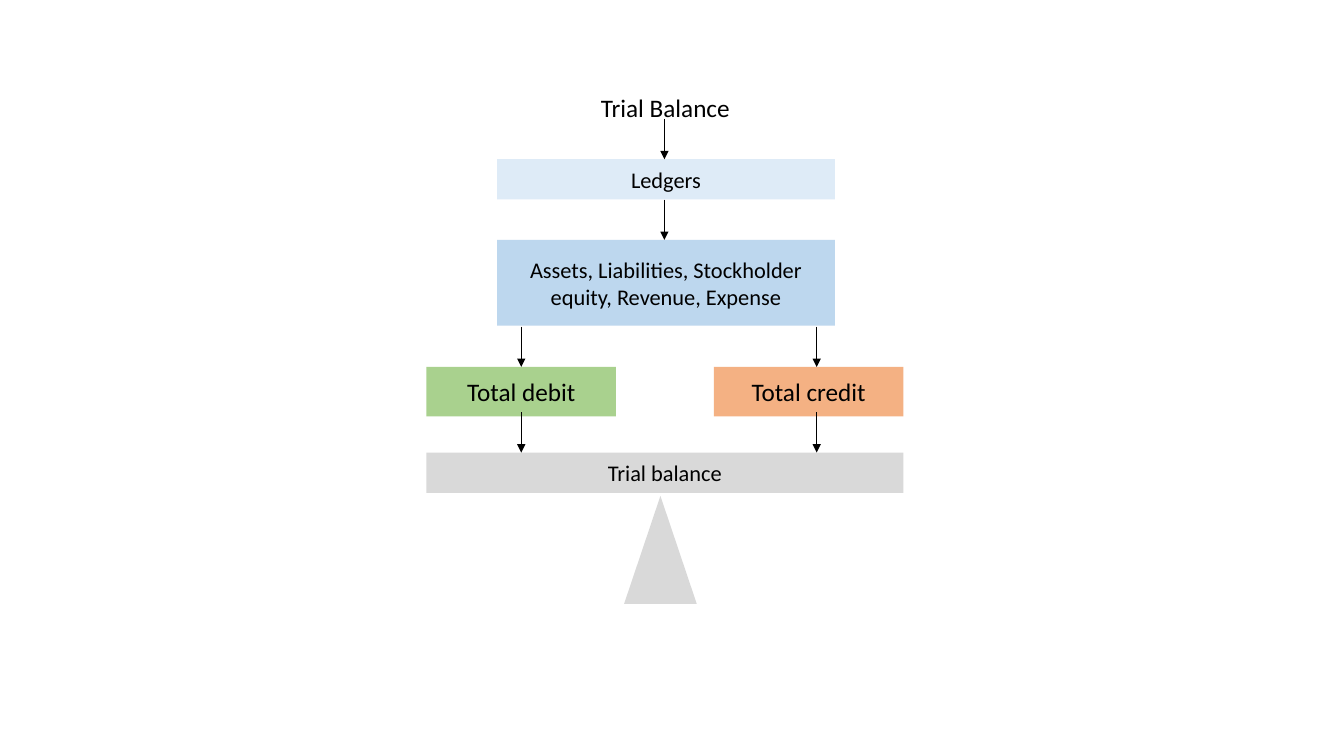
from lxml.etree import SubElement
from pptx import Presentation
from pptx.dml.color import RGBColor
from pptx.enum.shapes import MSO_CONNECTOR as Connector, MSO_SHAPE as Shape
from pptx.enum.text import MSO_ANCHOR as Anchor, MSO_AUTO_SIZE as AutoSize, PP_ALIGN as Align
from pptx.oxml.ns import qn
from pptx.util import Inches, Pt

BLACK = RGBColor(0x00, 0x00, 0x00)
PALE_BLUE = RGBColor(0xDE, 0xEB, 0xF7)
BLUE = RGBColor(0xBD, 0xD7, 0xEE)
GREEN = RGBColor(0xA9, 0xD1, 0x8E)
ORANGE = RGBColor(0xF4, 0xB1, 0x83)
GREY = RGBColor(0xD9, 0xD9, 0xD9)


class FlowSlide:
    """Draws the parts of a flow chart on one slide in a shared style."""

    font_name = "Calibri"
    arrow_width = Pt(0.5)

    def __init__(self, slide):
        self.slide = slide

    def label(self, shape, text, size, align, anchor):
        frame = shape.text_frame
        frame.word_wrap = True
        frame.auto_size = AutoSize.NONE
        frame.vertical_anchor = anchor
        paragraph = frame.paragraphs[0]
        paragraph.text = text
        paragraph.alignment = align
        paragraph.line_spacing = 1.0
        paragraph.font.name = self.font_name
        paragraph.font.size = Pt(size)
        paragraph.font.color.rgb = BLACK

    def title(self, text, left, top, width, height):
        heading = self.slide.shapes.title
        heading.left, heading.top = Inches(left), Inches(top)
        heading.width, heading.height = Inches(width), Inches(height)
        self.label(heading, text, 18, Align.LEFT, Anchor.TOP)

    def block(self, left, top, width, height, color, kind=Shape.RECTANGLE):
        block = self.slide.shapes.add_shape(
            kind, Inches(left), Inches(top), Inches(width), Inches(height))
        block.shadow.inherit = False
        block.fill.solid()
        block.fill.fore_color.rgb = color
        block.line.fill.background()
        return block

    def step(self, text, size, *place_and_color):
        self.label(self.block(*place_and_color), text, size, Align.CENTER, Anchor.MIDDLE)

    def arrow_down(self, x, top, length=0.4):
        arrow = self.slide.shapes.add_connector(
            Connector.STRAIGHT, Inches(x), Inches(top), Inches(x), Inches(top + length))
        arrow.line.color.rgb = BLACK
        arrow.line.width = self.arrow_width
        properties = arrow._element.spPr
        SubElement(properties.find(qn("a:ln")), qn("a:tailEnd"), type="triangle")
        SubElement(properties, qn("a:effectLst"))


deck = Presentation()
deck.slide_width, deck.slide_height = Inches(13.33), Inches(7.5)
title_only = deck.slide_layouts[5]
flow = FlowSlide(deck.slides.add_slide(title_only))

flow.title("Trial Balance", 5.86, 0.87, 1.49, 0.4)
flow.step("Ledgers", 16, 4.93, 1.58, 3.35, 0.4, PALE_BLUE)
flow.step("Assets, Liabilities, Stockholder equity, Revenue, Expense", 16,
          4.93, 2.38, 3.35, 0.85, BLUE)
for total, left, color in (("Total debit", 4.23, GREEN), ("Total credit", 7.08, ORANGE)):
    flow.step(total, 18, left, 3.64, 1.88, 0.49, color)
flow.step("Trial balance", 16, 4.23, 4.49, 4.73, 0.4, GREY)
flow.block(6.19, 4.92, 0.72, 1.07, GREY, Shape.ISOSCELES_TRIANGLE)

for center in (5.17, 8.1):
    for top in (3.24, 4.09):
        flow.arrow_down(center, top)
for top in (1.18, 1.98):
    flow.arrow_down(6.59, top)

deck.save("out.pptx")
